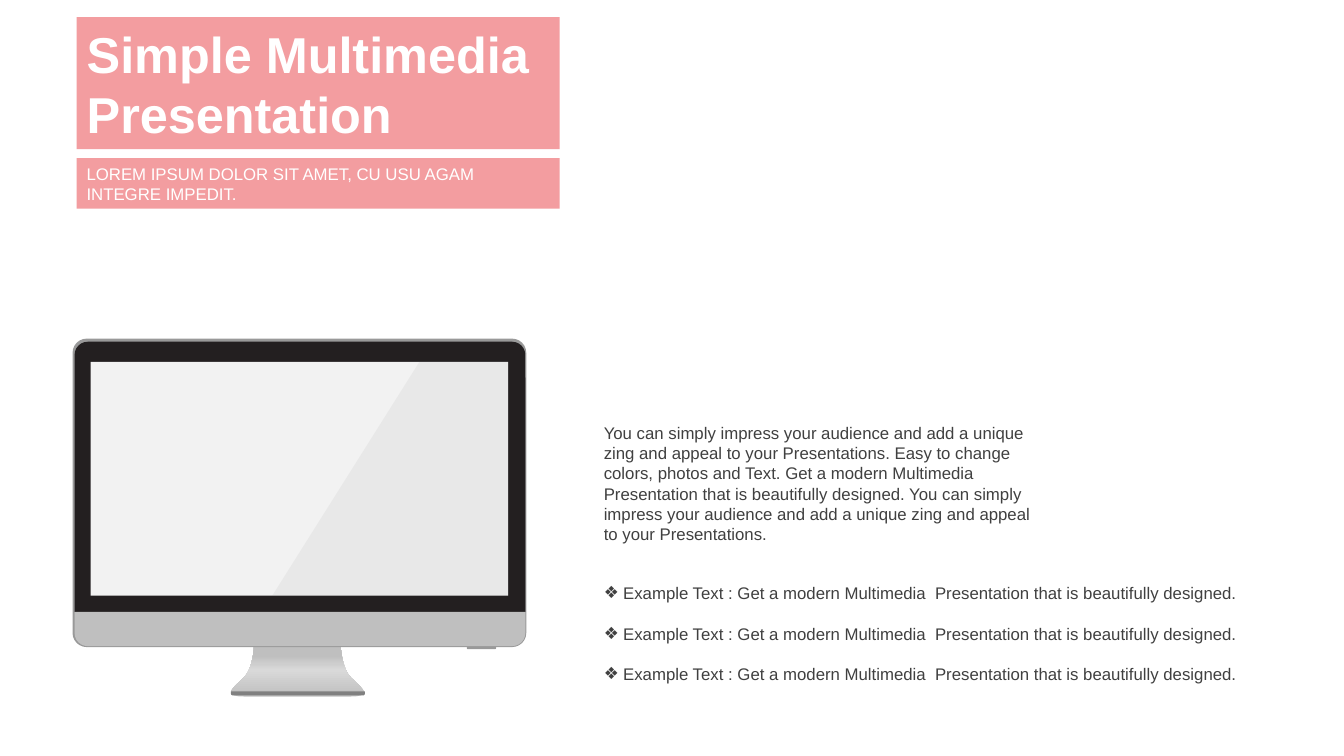
from dataclasses import dataclass
from typing import Optional

from lxml import etree
from pptx import Presentation
from pptx import util as u
from pptx.dml.color import RGBColor
from pptx.enum import shapes, text
from pptx.oxml.ns import qn

PINK = RGBColor(0xEC, 0x5D, 0x62)
WHITE = RGBColor(0xFF, 0xFF, 0xFF)
INK = RGBColor(0x40, 0x40, 0x40)
RIM = RGBColor(0x99, 0x99, 0x99)
BEZEL = RGBColor(0x23, 0x1F, 0x20)
FOOT = RGBColor(0x80, 0x80, 0x80)
ALUMINIUM = RGBColor(0xBF, 0xBF, 0xBF)
SHINE = RGBColor(0xD9, 0xD9, 0xD9)
SCREEN = RGBColor(0xF2, 0xF2, 0xF2)

FONT = "Arial"
TITLE = "Simple Multimedia Presentation"
SUBTITLE = "LOREM IPSUM DOLOR SIT AMET, CU USU AGAM INTEGRE IMPEDIT."
PITCH = (
    "You can simply impress your audience and add a unique zing and appeal to your "
    "Presentations. Easy to change colors, photos and Text. Get a modern Multimedia  "
    "Presentation that is beautifully designed. You can simply impress your audience "
    "and add a unique zing and appeal to your Presentations."
)
EXAMPLES = [
    "Example Text : Get a modern Multimedia  Presentation that is beautifully designed."
] * 3

RECT = shapes.MSO_SHAPE.RECTANGLE
ROUNDED = shapes.MSO_SHAPE.ROUNDED_RECTANGLE
ROUNDED_ENDS = shapes.MSO_SHAPE.ROUND_2_SAME_RECTANGLE

Point = tuple[float, float]


@dataclass(frozen=True)
class Frame:
    left: float
    top: float
    width: float
    height: float

    def lengths(self) -> list[u.Length]:
        return [u.Inches(v) for v in (self.left, self.top, self.width, self.height)]


@dataclass(frozen=True)
class Part:
    """A preset piece of the monitor; radii are in inches."""
    preset: int
    frame: Frame
    color: RGBColor
    radii: tuple[float, ...] = ()


@dataclass(frozen=True)
class TextStyle:
    size: float
    leading: float
    color: RGBColor
    bold: bool = False
    bullet: Optional[str] = None
    gap: float = 0


HEADING = TextStyle(36, 43.5, WHITE, bold=True)
CAPTION = TextStyle(12, 14.5, WHITE)
BODY = TextStyle(12, 14.5, INK)
LIST = TextStyle(12, 14.5, INK, bullet="❖", gap=14.5)

MONITOR = [
    Part(ROUNDED, Frame(0.72, 3.36, 4.5, 3.06), RIM, (0.14,)),
    Part(ROUNDED_ENDS, Frame(4.63, 6.41, 0.29, 0.03), RIM, (0, 0.01)),
    Part(ROUNDED_ENDS, Frame(0.74, 3.39, 4.47, 2.68), BEZEL, (0.13, 0)),
    Part(ROUNDED_ENDS, Frame(2.29, 6.86, 1.33, 0.04), FOOT, (0, 0.02)),
    Part(ROUNDED_ENDS, Frame(0.74, 6.07, 4.47, 0.34), ALUMINIUM, (0, 0.13)),
    Part(RECT, Frame(0.9, 3.59, 4.14, 2.32), SCREEN),
]


def set_alpha(shape, percent: int) -> None:
    color = shape._element.spPr.find(qn("a:solidFill"))[0]
    etree.SubElement(color, qn("a:alpha"), val=str(percent * 1000))


def paint(shape, color: RGBColor, alpha: int = 100) -> None:
    shape.fill.solid()
    shape.fill.fore_color.rgb = color
    if alpha < 100:
        set_alpha(shape, alpha)
    shape.line.fill.background()


def paint_stand(shape) -> None:
    """Fill with a four-stop upward metal gradient."""
    shape.fill.gradient()
    shape.fill.gradient_angle = 90
    stops = shape._element.spPr.find(qn("a:gradFill")).find(qn("a:gsLst"))
    for stop in list(stops):
        stops.remove(stop)
    for percent, color in ((0, ALUMINIUM), (53, SHINE), (83, ALUMINIUM), (100, ALUMINIUM)):
        stop = etree.SubElement(stops, qn("a:gs"), pos=str(percent * 1000))
        etree.SubElement(stop, qn("a:srgbClr"), val=str(color))
    shape.line.fill.background()


def bezier(p0: Point, p1: Point, p2: Point, p3: Point, steps: int = 10) -> list[Point]:
    """Sample a cubic curve, end points included."""
    points = []
    for i in range(steps + 1):
        t = i / steps
        weights = ((1 - t) ** 3, 3 * t * (1 - t) ** 2, 3 * t * t * (1 - t), t ** 3)
        x, y = (sum(w * p[axis] for w, p in zip(weights, (p0, p1, p2, p3))) for axis in (0, 1))
        points.append((x, y))
    return points


def add_outline(page, points: list[Point]):
    builder = page.shapes.build_freeform(
        u.Inches(points[0][0]), u.Inches(points[0][1]), scale=1.0)
    builder.add_line_segments([(u.Inches(x), u.Inches(y)) for x, y in points[1:]])
    shape = builder.convert_to_shape()
    shape.shadow.inherit = False
    return shape


def add_part(page, part: Part) -> None:
    shape = page.shapes.add_shape(part.preset, *part.frame.lengths())
    shape.shadow.inherit = False
    for i, radius in enumerate(part.radii):
        shape.adjustments[i] = radius / min(part.frame.width, part.frame.height)
    paint(shape, part.color)


def add_monitor(page) -> None:
    right_side = (bezier((3.38, 6.42), (3.38, 6.42), (3.39, 6.63), (3.48, 6.72))
                  + bezier((3.48, 6.72), (3.58, 6.82), (3.72, 6.91), (3.47, 6.91)))
    axis = 2.95
    left_side = [(2 * axis - x, y) for x, y in reversed(right_side)]
    paint_stand(add_outline(page, right_side + left_side))
    for part in MONITOR:
        add_part(page, part)
    glare = add_outline(page, [(4.16, 3.59), (5.04, 3.59), (5.04, 5.91), (2.7, 5.91)])
    paint(glare, RIM, alpha=10)


def set_bullet(para, symbol: str) -> None:
    props = para._p.get_or_add_pPr()
    indent = u.Inches(0.19)
    props.set("marL", str(indent))
    props.set("indent", str(-indent))
    etree.SubElement(props, qn("a:buFont"), typeface=FONT)
    etree.SubElement(props, qn("a:buChar"), char=symbol)


def write(box, frame: Frame, lines: list[str], style: TextStyle,
          anchor=text.MSO_ANCHOR.TOP) -> None:
    box.left, box.top, box.width, box.height = frame.lengths()
    body = box.text_frame
    body.word_wrap = True
    body.auto_size = text.MSO_AUTO_SIZE.NONE
    body.vertical_anchor = anchor
    for i, line in enumerate(lines):
        para = body.add_paragraph() if i else body.paragraphs[0]
        para.alignment = text.PP_ALIGN.LEFT
        para.line_spacing = u.Pt(style.leading)
        para.space_before = u.Pt(style.gap if i else 0)
        para.space_after = u.Pt(0)
        if style.bullet:
            set_bullet(para, style.bullet)
        span = para.add_run()
        span.text = line
        span.font.name = FONT
        span.font.size = u.Pt(style.size)
        span.font.bold = style.bold
        span.font.color.rgb = style.color


def main() -> None:
    deck = Presentation()
    deck.slide_width, deck.slide_height = u.Inches(13.33), u.Inches(7.5)
    page = deck.slides.add_slide(deck.slide_layouts[1])
    add_monitor(page)

    title = page.shapes.title
    write(title, Frame(0.76, 0.17, 4.79, 1.31), [TITLE], HEADING)
    paint(title, PINK, alpha=60)

    banner_frame = Frame(0.76, 1.57, 4.79, 0.5)
    banner = page.shapes.add_shape(RECT, *banner_frame.lengths())
    banner.shadow.inherit = False
    paint(banner, PINK, alpha=60)
    write(banner, banner_frame, [SUBTITLE], CAPTION, text.MSO_ANCHOR.MIDDLE)

    pitch_frame = Frame(5.89, 4.14, 4.54, 1.31)
    write(page.shapes.add_textbox(*pitch_frame.lengths()), pitch_frame, [PITCH], BODY)
    write(page.placeholders[1], Frame(5.89, 5.73, 6.68, 1.11), EXAMPLES, LIST)

    deck.save("out.pptx")


if __name__ == "__main__":
    main()
